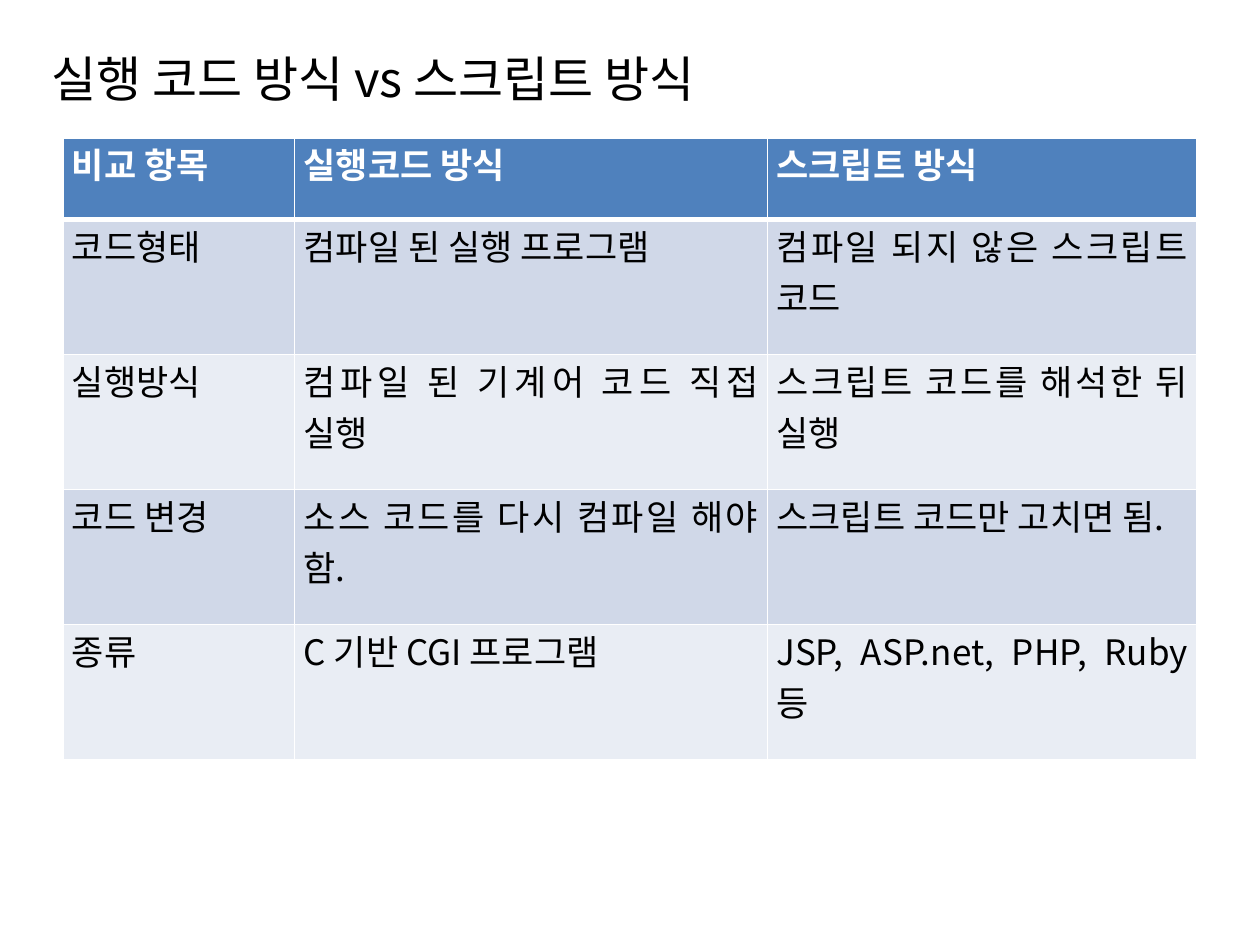
from dataclasses import dataclass

from lxml import etree
from pptx import Presentation
from pptx.dml.color import RGBColor
from pptx.enum.text import MSO_ANCHOR, PP_ALIGN
from pptx.oxml.ns import qn
from pptx.util import Cm, Pt

MIDDLE = MSO_ANCHOR.MIDDLE
TOP = MSO_ANCHOR.TOP
LEFT = PP_ALIGN.LEFT
JUSTIFY = PP_ALIGN.JUSTIFY

FONT = "Noto Sans CJK KR"
COLORS = {
    "text": "000000",
    "white": "FFFFFF",
    "header": "4F81BD",
    "odd": "D0D8E8",
    "even": "E9EDF4",
}
COLUMN_WIDTHS = (4.67, 9.53, 8.66)
HEADER_HEIGHT = 1.65
BODY_HEIGHT = 2.72


@dataclass(frozen=True)
class Comparison:
    """One row of the comparison table."""

    item: str
    compiled: str
    script: str


COMPARISONS = (
    Comparison("비교 항목", "실행코드 방식", "스크립트 방식"),
    Comparison("코드형태", "컴파일 된 실행 프로그램", "컴파일 되지 않은 스크립트 코드"),
    Comparison("실행방식", "컴파일 된 기계어 코드 직접 실행", "스크립트 코드를 해석한 뒤 실행"),
    Comparison("코드 변경", "소스 코드를 다시 컴파일 해야 함.", "스크립트 코드만 고치면 됨."),
    Comparison("종류", "C 기반 CGI 프로그램", "JSP, ASP.net, PHP, Ruby 등"),
)


def write_text(frame, text: str, *, size: int, color: str = "text",
               bold: bool = False, align=LEFT) -> None:
    """Write one formatted paragraph into a text frame."""
    frame.word_wrap = True
    para = frame.paragraphs[0]
    para.alignment = align
    span = para.add_run()
    span.text = text
    span.font.name = FONT
    span.font.size = Pt(size)
    span.font.bold = bold
    span.font.color.rgb = RGBColor.from_string(COLORS[color])
    east_asian = etree.SubElement(span.font._element, qn("a:ea"))
    east_asian.set("typeface", FONT)


def set_borders(cell, bottom: float = 1, top: float = 1) -> None:
    """Draw white borders, placed before the fill of the cell."""
    properties = cell._tc.get_or_add_tcPr()
    widths = {"lnL": 1, "lnR": 1, "lnT": top, "lnB": bottom}
    for position, (side, width) in enumerate(widths.items()):
        line = etree.Element(qn(f"a:{side}"), w=str(Pt(width)))
        fill = etree.SubElement(line, qn("a:solidFill"))
        etree.SubElement(fill, qn("a:srgbClr"), val=COLORS["white"])
        properties.insert(position, line)


def add_title(page, text: str) -> None:
    """Add the slide heading."""
    box = page.shapes.add_textbox(Cm(0.79), Cm(0.76), Cm(24), Cm(1.63))
    box.text_frame.vertical_anchor = MIDDLE
    write_text(box.text_frame, text, size=28)


def fill_cell(cell, text: str, row: int) -> None:
    """Format and fill one cell according to its row."""
    header = row == 0
    cell.margin_left = cell.margin_right = Cm(0.18)
    cell.margin_top = cell.margin_bottom = Cm(0)
    cell.vertical_anchor = TOP
    band = "header" if header else ("odd" if row % 2 else "even")
    cell.fill.solid()
    cell.fill.fore_color.rgb = RGBColor.from_string(COLORS[band])
    set_borders(cell, bottom=3 if header else 1, top=3 if row == 1 else 1)
    write_text(cell.text_frame, text, size=20, bold=header, align=JUSTIFY,
               color="white" if header else "text")


def add_comparison_table(page) -> None:
    """Add the table that compares both approaches."""
    heights = [HEADER_HEIGHT] + [BODY_HEIGHT] * (len(COMPARISONS) - 1)
    table = page.shapes.add_table(
        len(COMPARISONS), len(COLUMN_WIDTHS), Cm(1.27), Cm(2.78),
        Cm(sum(COLUMN_WIDTHS)), Cm(sum(heights))).table
    for column, width in zip(table.columns, COLUMN_WIDTHS):
        column.width = Cm(width)
    for row, (comparison, height) in enumerate(zip(COMPARISONS, heights)):
        table.rows[row].height = Cm(height)
        texts = (comparison.item, comparison.compiled, comparison.script)
        for column, text in enumerate(texts):
            fill_cell(table.cell(row, column), text, row)


def main() -> None:
    """Build and save the deck."""
    deck = Presentation()
    deck.slide_width, deck.slide_height = Cm(25.4), Cm(19.05)
    page = deck.slides.add_slide(deck.slide_layouts[6])
    add_title(page, "실행 코드 방식 vs 스크립트 방식")
    add_comparison_table(page)
    deck.save("out.pptx")


main()
